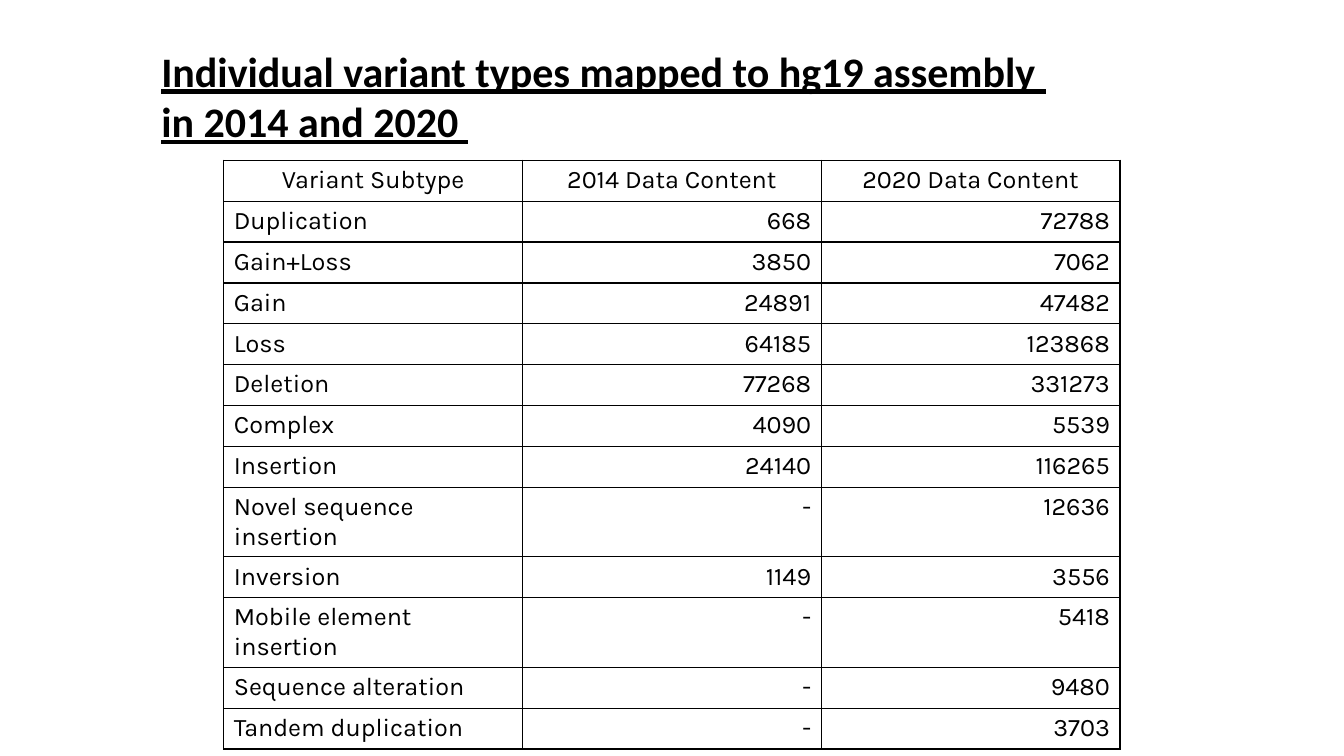
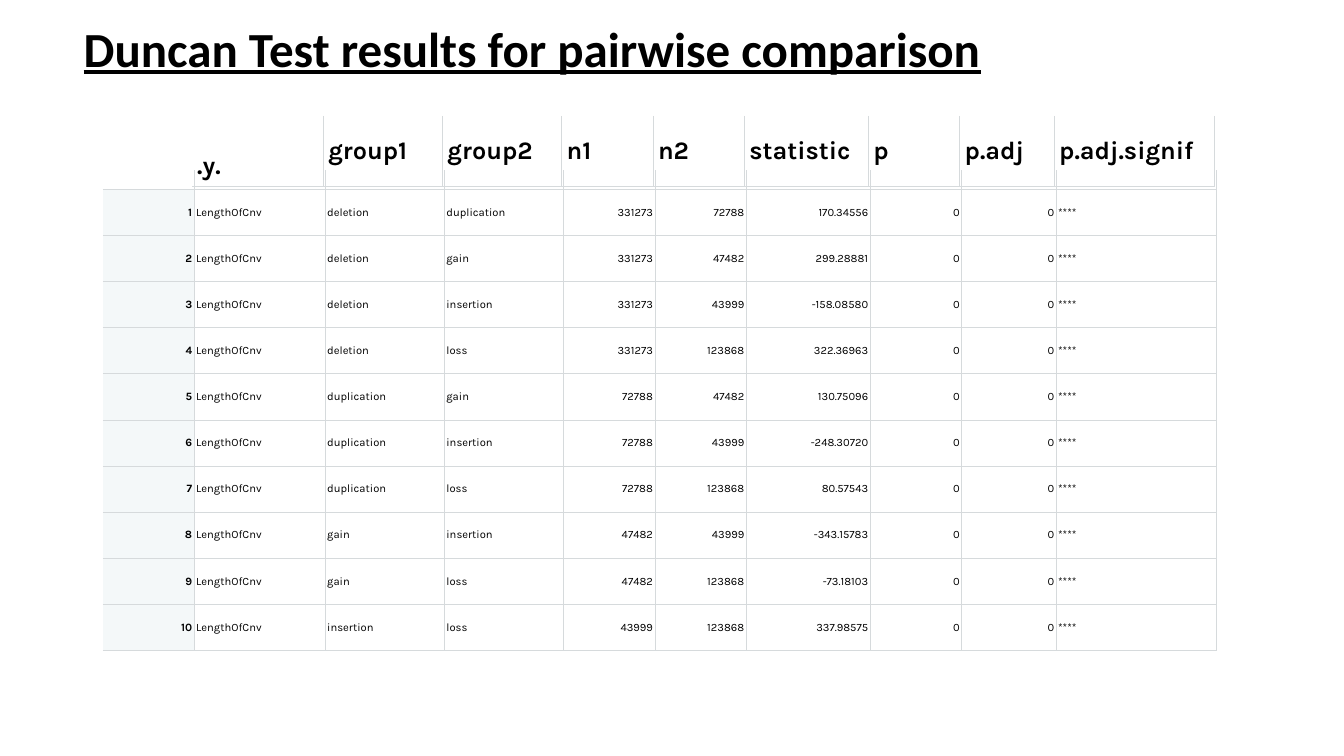
from dataclasses import dataclass
from itertools import combinations

from lxml import etree
from pptx import Presentation
from pptx import util as u
from pptx.dml.color import RGBColor
from pptx.enum import text as t
from pptx.oxml import ns

# Shared look
BLACK = RGBColor(0x00, 0x00, 0x00)
GREY = RGBColor(0xD6, 0xDA, 0xDC)
PALE = RGBColor(0xF4, 0xF8, 0xF9)
HEAD, BODY = "Calibri", "Karla"
WIDE, HIGH = u.Inches(13.33), u.Inches(7.5)
PLAIN = "{2D5ABB26-0587-4C30-8999-92F81FD0307C}"
LEFT, MID, RIGHT = t.PP_ALIGN.LEFT, t.PP_ALIGN.CENTER, t.PP_ALIGN.RIGHT
TOP, CENTRE, BASE = (t.MSO_ANCHOR.TOP, t.MSO_ANCHOR.MIDDLE,
                     t.MSO_ANCHOR.BOTTOM)


def across(pct: float) -> int:
    """Percent of the slide's width."""
    return round(WIDE * pct / 100)


def down(pct: float) -> int:
    """Percent of the slide's height."""
    return round(HIGH * pct / 100)


@dataclass
class Title:
    lines: list[str]
    box: tuple[float, float, float, float]
    size: float
    wrap: bool = True


@dataclass
class Cell:
    text: str
    align: int = LEFT
    bold: bool = False
    fill: RGBColor | None = None
    anchor: int = TOP


@dataclass
class Grid:
    left: float
    top: float
    cols: list[float]
    rows: list[float]
    cells: list[list[Cell]]
    size: float
    rule: RGBColor
    weight: float
    pad: tuple[float, float] = (0.1, 0.05)
    open: bool = False  # no rule along the top and left edges


# Drawing
def add_run(par, words: str, font: str, size: float, bold: bool) -> None:
    run = par.add_run()
    run.text = words
    run.font.name, run.font.size, run.font.bold = font, u.Pt(size), bold
    run.font.color.rgb = BLACK
    run.font.underline = font == HEAD


def add_title(slide, title: Title) -> None:
    shape = slide.shapes.title
    x, y, w, h = title.box
    shape.left, shape.top = across(x), down(y)
    shape.width, shape.height = across(w), down(h)
    frame = shape.text_frame
    frame.auto_size = t.MSO_AUTO_SIZE.NONE
    frame.word_wrap = title.wrap
    frame.vertical_anchor = TOP
    for i, line in enumerate(title.lines):
        par = frame.add_paragraph() if i else frame.paragraphs[0]
        par.alignment = LEFT
        add_run(par, line, HEAD, title.size, True)


def add_rules(box, sides: str, color: RGBColor, weight: float) -> None:
    props = box._tc.get_or_add_tcPr()
    for i, side in enumerate("LRTB"):
        line = etree.Element(ns.qn(f"a:ln{side}"), w=str(u.Pt(weight)))
        if side in sides:
            fill = etree.SubElement(line, ns.qn("a:solidFill"))
            etree.SubElement(fill, ns.qn("a:srgbClr"), val=str(color))
        else:
            etree.SubElement(line, ns.qn("a:noFill"))
        props.insert(i, line)


def fill_cell(box, cell: Cell, grid: Grid, sides: str) -> None:
    box.margin_left = box.margin_right = u.Inches(grid.pad[0])
    box.margin_top = box.margin_bottom = u.Inches(grid.pad[1])
    box.vertical_anchor = cell.anchor
    if cell.fill is None:
        box.fill.background()
    else:
        box.fill.solid()
        box.fill.fore_color.rgb = cell.fill
    add_rules(box, sides, grid.rule, grid.weight)
    par = box.text_frame.paragraphs[0]
    par.alignment = cell.align
    if cell.text:
        add_run(par, cell.text, BODY, grid.size, cell.bold)
    else:  # keeps an empty row thin
        etree.SubElement(par._p, ns.qn("a:endParaRPr"),
                         sz=str(round(grid.size * 100)))


def add_grid(slide, grid: Grid) -> None:
    frame = slide.shapes.add_table(
        len(grid.rows), len(grid.cols), across(grid.left), down(grid.top),
        across(sum(grid.cols)), down(sum(grid.rows)))
    table = frame.table
    table.first_row = table.horz_banding = False
    table._tbl.tblPr.find(ns.qn("a:tableStyleId")).text = PLAIN
    for col, pct in zip(table.columns, grid.cols):
        col.width = across(pct)
    for row, pct in zip(table.rows, grid.rows):
        row.height = down(pct)
    for r, line in enumerate(grid.cells):
        for c, cell in enumerate(line):
            sides = "RB"
            sides += "" if grid.open and r == 0 else "T"
            sides += "" if grid.open and c == 0 else "L"
            fill_cell(table.cell(r, c), cell, grid, sides)


# Variant counts
TYPES = [
    ("Duplication", "668", "72788"),
    ("Gain+Loss", "3850", "7062"),
    ("Gain", "24891", "47482"),
    ("Loss", "64185", "123868"),
    ("Deletion", "77268", "331273"),
    ("Complex", "4090", "5539"),
    ("Insertion", "24140", "116265"),
    ("Novel sequence insertion", "-", "12636"),
    ("Inversion", "1149", "3556"),
    ("Mobile element insertion", "-", "5418"),
    ("Sequence alteration", "-", "9480"),
    ("Tandem duplication", "-", "3703"),
]


def count_grid() -> Grid:
    names = ("Variant Subtype", "2014 Data Content", "2020 Data Content")
    cells = [[Cell(name, MID) for name in names]]
    cells += [[Cell(kind), Cell(old, RIGHT), Cell(new, RIGHT)]
              for kind, old, new in TYPES]
    rows = [9.2 if len(line[0].text) > 20 else 5.41 for line in cells]
    return Grid(16.65, 21.2, [22.23] * 3, rows, cells, 18, BLACK, 1)


# Pairwise tests
SIZES = {"deletion": "331273", "duplication": "72788", "gain": "47482",
         "insertion": "43999", "loss": "123868"}
STATS = ["170.34556", "299.28881", "-158.08580", "322.36963", "130.75096",
         "-248.30720", "80.57543", "-343.15783", "-73.18103", "337.98575"]
NAMES = [".y.", "group1", "group2", "n1", "n2", "statistic", "p", "p.adj",
         "p.adj.signif"]
COLS = [9.75, 8.87, 8.87, 6.8, 6.8, 9.22, 6.8, 7.03, 11.9]
INDEX = 6.8


def name_grid() -> Grid:
    cells = [Cell(name, bold=True, anchor=CENTRE) for name in NAMES]
    cells[0].anchor = BASE
    return Grid(14.3, 15.33, COLS, [9.33], [cells], 18, GREY, 0.75,
                (0.05, 0.05), True)


def test_grid() -> Grid:
    cells = [[Cell("") for _ in range(len(COLS) + 1)]]
    pairs = combinations(SIZES, 2)
    for i, ((one, two), stat) in enumerate(zip(pairs, STATS), 1):
        words = [Cell(word, anchor=CENTRE)
                 for word in ("LengthOfCnv", one, two)]
        values = [Cell(value, RIGHT, anchor=CENTRE)
                  for value in (SIZES[one], SIZES[two], stat, "0", "0")]
        cells.append([Cell(str(i), RIGHT, True, PALE, CENTRE), *words,
                      *values, Cell("****", anchor=CENTRE)])
    rows = [2.53] + [6.1] * len(STATS)
    return Grid(7.65, 22.53, [INDEX, *COLS], rows, cells, 8, GREY, 0.75,
                (0.02, 0.02), True)


def main() -> None:
    deck = Presentation()
    deck.slide_width, deck.slide_height = WIDE, HIGH
    pages = [
        (Title(["Individual variant types mapped to hg19 assembly ",
                "in 2014 and 2020 "],
               (11.25, 5.33, 68.04, 14.8), 30, False), [count_grid()]),
        (Title(["Duncan Test results for pairwise comparison"],
               (5.48, 1.73, 84.92, 9.2), 35), [name_grid(), test_grid()]),
    ]
    for title, grids in pages:
        slide = deck.slides.add_slide(deck.slide_layouts[5])
        add_title(slide, title)
        for grid in grids:
            add_grid(slide, grid)
    deck.save("out.pptx")


if __name__ == "__main__":
    main()
